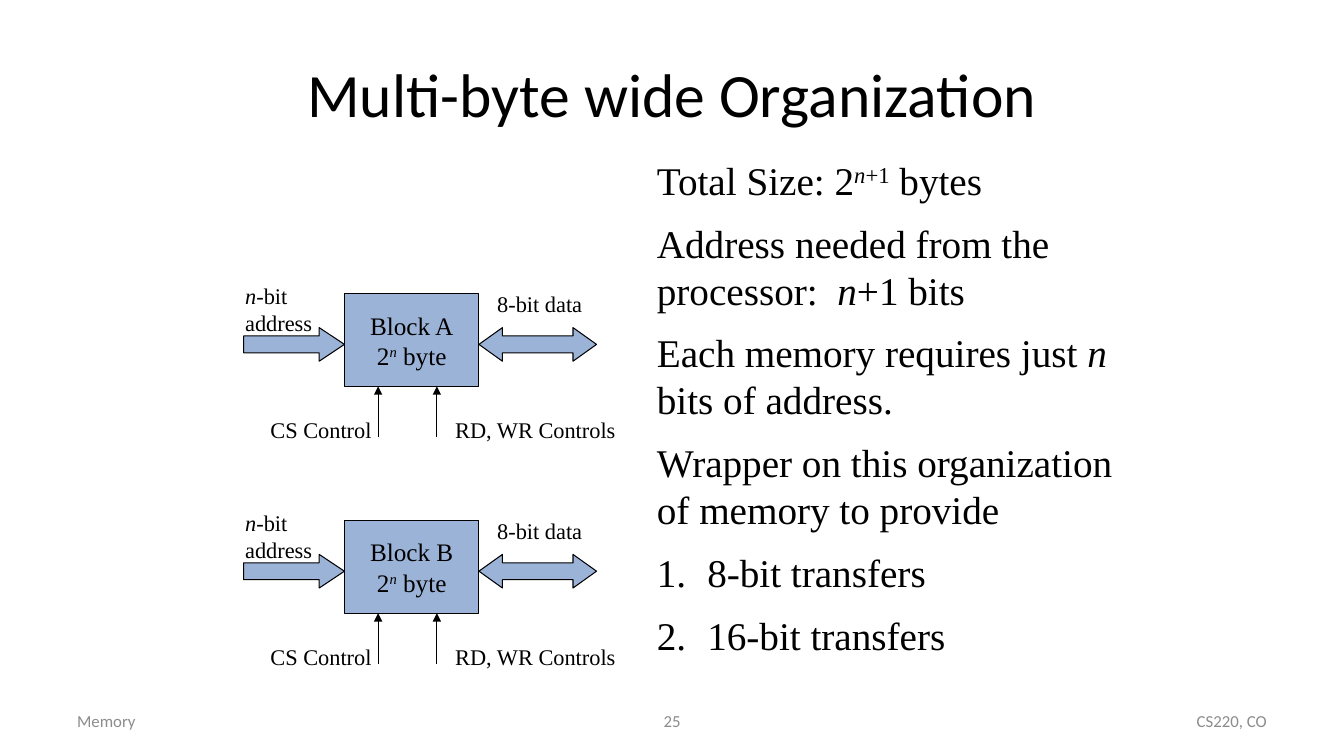
from lxml.etree import SubElement
from pptx import Presentation
from pptx.dml.color import RGBColor
from pptx.enum.shapes import MSO_CONNECTOR as Connector, MSO_SHAPE as Shape
from pptx.enum.text import MSO_ANCHOR as Anchor, PP_ALIGN as Align
from pptx.oxml.ns import qn
from pptx.util import Inches, Pt

# Content: a paragraph is a list of (text, style); "i" is italic, "^" is superscript
TITLE = "Multi-byte wide Organization"
BLOCK_NAMES = ["Block A", "Block B"]
BLOCK_SIZE = [("2", ""), ("n", "i^"), (" byte", "")]
ADDRESS = [("n", "i"), ("-bit address", "")]
NOTES = [
    [("Total Size: 2", ""), ("n", "i^"), ("+1", "^"), (" bytes", "")],
    [("Address needed from the processor:  ", ""), ("n", "i"), ("+1 bits", "")],
    [("Each memory requires just ", ""), ("n", "i"), (" bits of address.", "")],
    [("Wrapper on this organization of memory to provide", "")],
]
TRANSFERS = [[("8-bit transfers", "")], [("16-bit transfers", "")]]
FOOTERS = [("Memory", Align.LEFT, 0.05, 0.233),
           ("25", Align.CENTER, 0.342, 0.316),
           ("CS220, CO", Align.RIGHT, 0.717, 0.233)]

# Diagram labels and arrows in grid cells, relative to the first block's row
LABELS = [(ADDRESS, 28, 33, 11, 7.7),
          ([("8-bit data", "")], 58, 34, 17, 4.4),
          ([("RD, WR Controls", "")], 53, 49, 24, 4.4),
          ([("CS Control", "")], 31, 49, 15, 4.4)]
ARROWS = [(Shape.RIGHT_ARROW, 29, 39, 12, 4, (0.5, 0.75)),
          (Shape.LEFT_RIGHT_ARROW, 57, 39, 14, 4, (0.5, 0.7))]
CONTROL_COLUMNS = [45, 52]
BLOCK_STEP = 27

WIDTH, HEIGHT = 13.33, 7.5
CELL = 1 / 12
SERIF, SANS = "Times New Roman", "Calibri"
BLACK, GRAY, BLUE = "000000", "8C8C8C", "9CB3D8"

deck = Presentation()
deck.slide_width, deck.slide_height = Inches(WIDTH), Inches(HEIGHT)
page = deck.slides.add_slide(deck.slide_layouts[5])


def color(value):
    return RGBColor.from_string(value)


def grid(*cells):
    return [Inches(cell * CELL) for cell in cells]


def share(left, top, width, height):
    return [Inches(left * WIDTH), Inches(top * HEIGHT),
            Inches(width * WIDTH), Inches(height * HEIGHT)]


def write(box, paragraphs, size, font=SERIF, ink=BLACK, align=Align.LEFT,
          anchor=Anchor.TOP, before=0, wrap=True):
    frame = box.text_frame
    frame.word_wrap, frame.vertical_anchor = wrap, anchor
    for number, spans in enumerate(paragraphs):
        para = frame.add_paragraph() if number else frame.paragraphs[0]
        para.alignment, para.space_before = align, Pt(before)
        for text, style in spans:
            span = para.add_run()
            span.text = text
            span.font.size, span.font.name = Pt(size), font
            span.font.color.rgb = color(ink)
            span.font.italic = "i" in style
            if "^" in style:
                span.font._element.set("baseline", "30000")
    return frame


def outline(line):
    line.color.rgb, line.width = color(BLACK), Pt(0.75)


def add_solid(kind, *cells, adjust=()):
    solid = page.shapes.add_shape(kind, *grid(*cells))
    solid.shadow.inherit = False
    solid.fill.solid()
    solid.fill.fore_color.rgb = color(BLUE)
    outline(solid.line)
    for index, value in enumerate(adjust):
        solid.adjustments[index] = value
    return solid


def add_control(column, bottom, top):
    control = page.shapes.add_connector(
        Connector.STRAIGHT, *grid(column, bottom, column, top))
    outline(control.line)
    SubElement(control.line._get_or_add_ln(), qn("a:tailEnd"), type="triangle")
    SubElement(control._element.spPr, qn("a:effectLst"))


# Title
title = page.shapes.title
title.left, title.top, title.width, title.height = share(0.05, 0.04, 0.9, 0.167)
write(title, [[(TITLE, "")]], 44, font=SANS, align=Align.CENTER, anchor=Anchor.MIDDLE)

# Memory blocks with their buses and control lines
for index, name in enumerate(BLOCK_NAMES):
    down = index * BLOCK_STEP
    block = add_solid(Shape.RECTANGLE, 41, 35 + down, 16, 11)
    write(block, [[(name, "")], BLOCK_SIZE], 18, align=Align.CENTER,
          anchor=Anchor.MIDDLE, wrap=False)
    for kind, left, top, width, height, adjust in ARROWS:
        add_solid(kind, left, top + down, width, height, adjust=adjust)
    for column in CONTROL_COLUMNS:
        add_control(column, 52 + down, 46 + down)
    for label, left, top, width, height in LABELS:
        box = page.shapes.add_textbox(*grid(left, top + down, width, height))
        write(box, [label], 16, before=10)

# Notes, ending in a numbered list
notes = page.shapes.add_textbox(*grid(77, 18, 58, 61.4))
frame = write(notes, NOTES + TRANSFERS, 28, before=11.2)
for para in frame.paragraphs[len(NOTES):]:
    properties = para._p.get_or_add_pPr()
    properties.set("marL", str(Inches(0.5)))
    properties.set("indent", str(-Inches(0.5)))
    SubElement(properties, qn("a:buFont"), typeface=SERIF)
    SubElement(properties, qn("a:buAutoNum"), type="arabicPeriod")

# Footer
for text, align, left, width in FOOTERS:
    box = page.shapes.add_textbox(*share(left, 0.927, width, 0.053))
    write(box, [[(text, "")]], 12, font=SANS, ink=GRAY, align=align, anchor=Anchor.MIDDLE)

deck.save("out.pptx")
